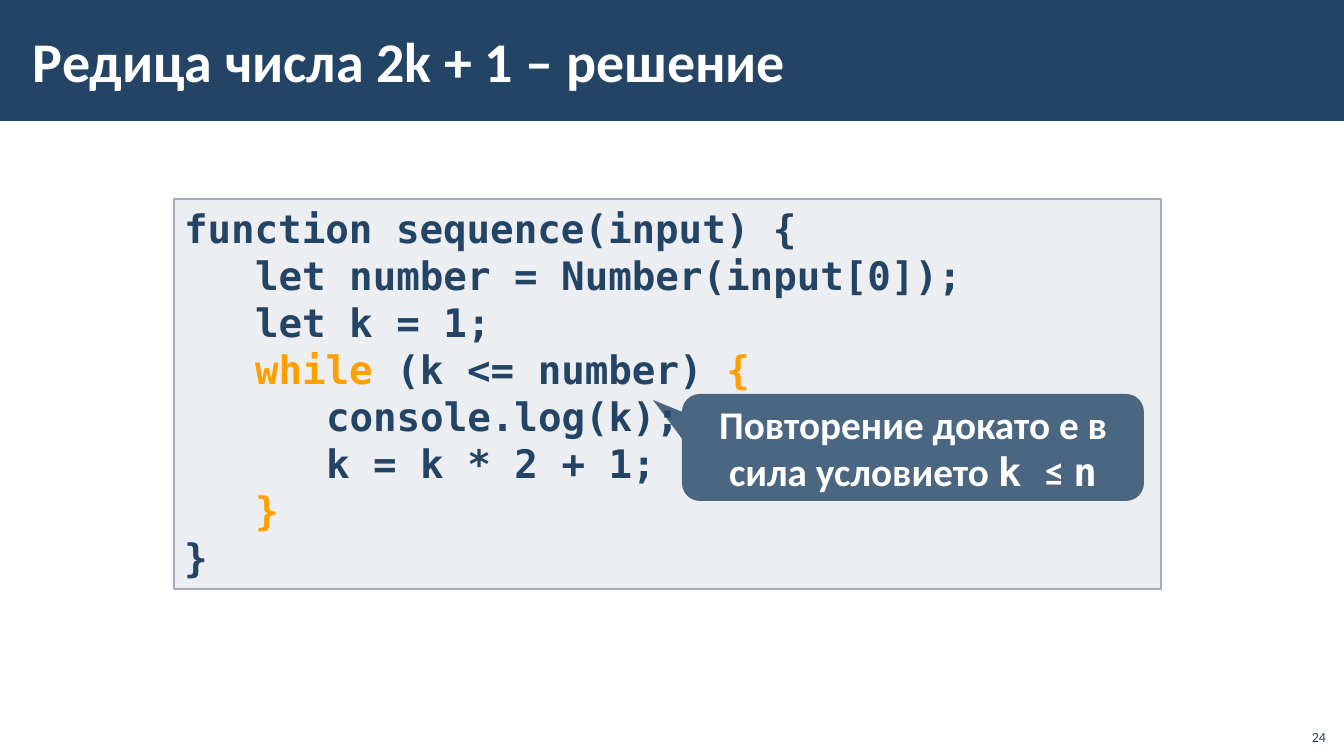
from lxml.etree import SubElement
from pptx import Presentation
from pptx.dml.color import RGBColor
from pptx.enum.shapes import MSO_SHAPE
from pptx.enum.text import MSO_ANCHOR, PP_ALIGN
from pptx.oxml.ns import qn
from pptx.util import Pt

NAVY, GREY, ORANGE, WHITE = "234465", "A3ABBC", "FFA000", "FFFFFF"
SANS, MONO = "Calibri", "DejaVu Sans Mono"
EMU_PER_PX = 914400 / 100.8
INDENT = 71

TITLE = "Редица числа 2k + 1 – решение"
CODE = [
    (0, [("function sequence(input) {", NAVY)]),
    (1, [("let number = Number(input[0]);", NAVY)]),
    (1, [("let k = 1;", NAVY)]),
    (1, [("while ", ORANGE), ("(k <= number)", NAVY), (" {", ORANGE)]),
    (2, [("console.log(k);", NAVY)]),
    (2, [("k = k * 2 + 1;", NAVY)]),
    (1, [("}", ORANGE)]),
    (0, [("}", NAVY)]),
]
CALLOUT = [("Повторение докато е в сила условието ", SANS), ("k ", MONO),
           ("≤ ", SANS), ("n", MONO)]
CALLOUT_SHAPE = (-0.563, -0.444, 0.167)
PAGE = "24"


def px(n):
    return round(n * EMU_PER_PX)


def rgb(color):
    return RGBColor.from_string(color)


def add_run(p, text, font=SANS, size=28, color=WHITE, bold=True):
    r = p.add_run()
    r.text = text
    r.font.name, r.font.size, r.font.bold = font, Pt(size), bold
    r.font.color.rgb = rgb(color)


def add_box(slide, kind, box, fill, line=None, opacity=100):
    sp = slide.shapes.add_shape(kind, *map(px, box))
    sp.shadow.inherit = False
    sp.fill.solid()
    sp.fill.fore_color.rgb = rgb(fill)
    if opacity < 100:
        clr = sp.fill._xPr.find(qn("a:solidFill")).find(qn("a:srgbClr"))
        SubElement(clr, qn("a:alpha"), val=str(opacity * 1000))
    if line:
        sp.line.color.rgb = rgb(line)
        sp.line.width = Pt(1)
    else:
        sp.line.fill.background()
    return sp


def set_frame(sp, anchor, align=PP_ALIGN.LEFT, margins=(10, 5)):
    tf = sp.text_frame
    tf.word_wrap = True
    tf.vertical_anchor = anchor
    tf.margin_left = tf.margin_right = px(margins[0])
    tf.margin_top = tf.margin_bottom = px(margins[1])
    tf.paragraphs[0].alignment = align
    return tf


def main():
    """Build the slide with the code listing and its callout."""
    prs = Presentation()
    prs.slide_width, prs.slide_height = px(1344), px(756)
    slide = prs.slides.add_slide(prs.slide_layouts[6])

    add_box(slide, MSO_SHAPE.RECTANGLE, (0, 0, 1344, 121), NAVY)
    title = slide.shapes.add_textbox(*map(px, (21, 11, 1072, 98)))
    tf = set_frame(title, MSO_ANCHOR.MIDDLE, margins=(12, 4))
    add_run(tf.paragraphs[0], TITLE, size=40)

    listing = add_box(slide, MSO_SHAPE.RECTANGLE, (174, 199, 987, 390),
                      GREY, line=GREY, opacity=20)
    tf = set_frame(listing, MSO_ANCHOR.TOP)
    for i, (level, runs) in enumerate(CODE):
        p = tf.add_paragraph() if i else tf.paragraphs[0]
        p.alignment = PP_ALIGN.LEFT
        p._p.get_or_add_pPr().set("marL", str(px(level * INDENT)))
        for text, color in runs:
            add_run(p, text, font=MONO, color=color)

    callout = add_box(slide, MSO_SHAPE.ROUNDED_RECTANGULAR_CALLOUT,
                      (682, 394, 462, 107), NAVY, opacity=80)
    for i, value in enumerate(CALLOUT_SHAPE):
        callout.adjustments[i] = value
    tf = set_frame(callout, MSO_ANCHOR.MIDDLE, PP_ALIGN.CENTER)
    for text, font in CALLOUT:
        add_run(tf.paragraphs[0], text, font=font)

    page = slide.shapes.add_textbox(*map(px, (1295, 718, 41, 32)))
    tf = set_frame(page, MSO_ANCHOR.BOTTOM, PP_ALIGN.RIGHT)
    add_run(tf.paragraphs[0], PAGE, size=10, color=NAVY, bold=False)

    prs.save("out.pptx")


if __name__ == "__main__":
    main()
